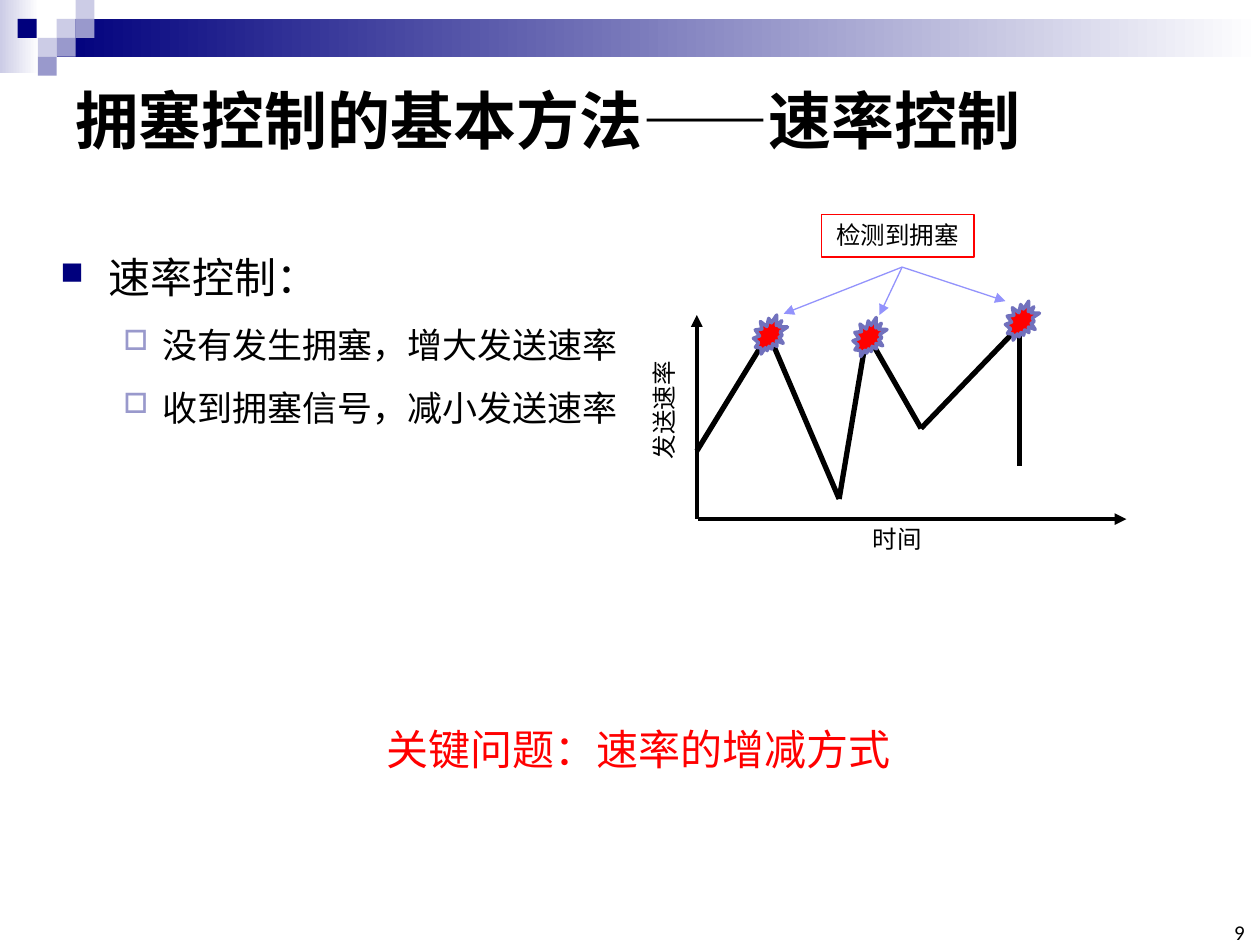
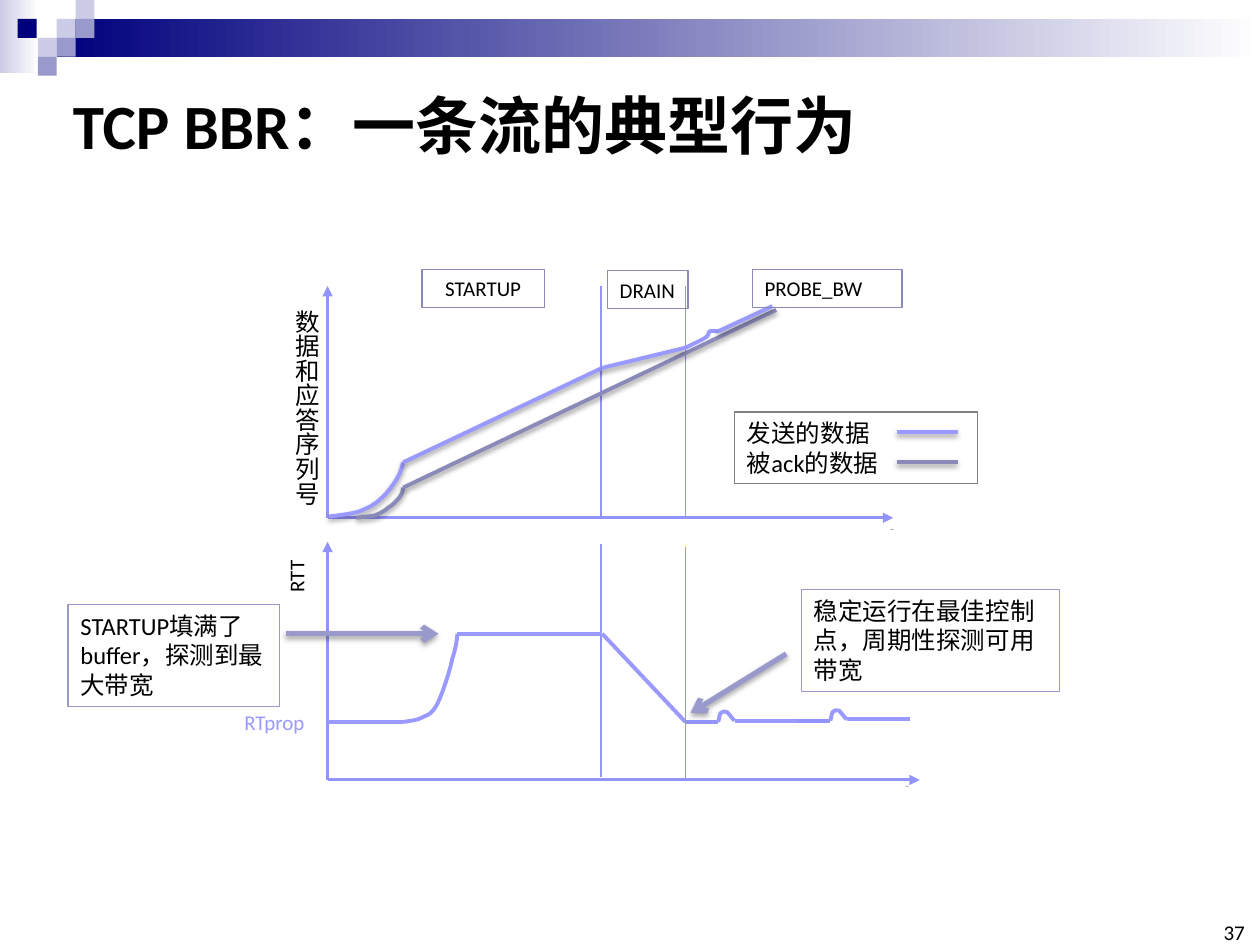
import pptx
import pptx.util
import pptx.dml.color
import pptx.enum.lang
import pptx.enum.shapes
import pptx.enum.text
import pptx.oxml
import pptx.oxml.ns
import lxml.etree

NAVY, LILAC, PALE = "00007D", "9999CC", "CCCCE6"
BLACK, WHITE, RED = "000000", "FFFFFF", "FF0000"
AXIS, SENT, ACKED, GRAY = "9393FC", "9999FF", "8A8AB9", "808080"
LATIN, HAN = "Calibri", "Noto Sans CJK SC"
SHAPE = pptx.enum.shapes.MSO_SHAPE
ALIGN = pptx.enum.text.PP_ALIGN
ANCHOR = pptx.enum.text.MSO_ANCHOR


def inch(num):
    """Turn inches into a length."""
    return pptx.util.Cm(num * 2.54)


def tint(code):
    """Turn a hex string into a colour."""
    return pptx.dml.color.RGBColor.from_string(code)


def sub(node, tag, **attrs):
    """Append a drawing element."""
    return lxml.etree.SubElement(node, pptx.oxml.ns.qn(tag), attrs)


def shade(shape, alpha=None):
    """Replace the theme shadow by none or by a soft drop."""
    props = shape._element.spPr
    for old in props.findall(pptx.oxml.ns.qn("a:effectLst")):
        props.remove(old)
    effect = sub(props, "a:effectLst")
    if alpha:
        drop = sub(effect, "a:outerShdw", blurRad="39400", dist="20300",
                   dir="5400000", rotWithShape="0")
        sub(sub(drop, "a:srgbClr", val=BLACK), "a:alpha", val=str(alpha * 1000))


def bullet(par, mark, color, size, left, hang):
    """Give a paragraph a coloured symbol bullet and a hanging indent."""
    props = par._p.get_or_add_pPr()
    props.set("marL", str(inch(left)))
    props.set("indent", str(-inch(hang)))
    sub(sub(props, "a:buClr"), "a:srgbClr", val=color)
    sub(props, "a:buSzPct", val=str(size * 1000))
    sub(props, "a:buFont", typeface="Wingdings", charset="2")
    sub(props, "a:buChar", char=mark)


def bend(shape):
    """Join every three straight steps of an outline into one cubic curve."""
    steps = list(shape._element.iter(pptx.oxml.ns.qn("a:lnTo")))
    route = steps[0].getparent()
    for i in range(0, len(steps), 3):
        arc = sub(route, "a:cubicBezTo")
        for step in steps[i:i + 3]:
            arc.append(step[0])
            route.remove(step)


class Area:
    """A region of a slide whose parts are placed from its top left corner."""

    def __init__(self, slide, left=0, top=0):
        """Keep the shapes and the corner."""
        self.shapes, self.left, self.top = slide.shapes, left, top

    def spot(self, x, y):
        """Turn a point of the area into slide lengths."""
        return inch(self.left + x), inch(self.top + y)

    def block(self, box, fill=None, line=None, width=0.75, kind=SHAPE.RECTANGLE):
        """Add a preset shape; a pair of fills makes a gradient."""
        x, y, w, h = box
        shape = self.shapes.add_shape(kind, *self.spot(x, y), inch(w), inch(h))
        if isinstance(fill, tuple):
            shape.fill.gradient()
            shape.fill.gradient_angle = 0
            for stop, code in zip(shape.fill.gradient_stops, fill):
                stop.color.rgb = tint(code)
        elif fill:
            shape.fill.solid()
            shape.fill.fore_color.rgb = tint(fill)
        else:
            shape.fill.background()
        if line:
            shape.line.color.rgb = tint(line)
            shape.line.width = pptx.util.Pt(width)
        else:
            shape.line.fill.background()
        shape.shadow.inherit = False
        return shape

    def text(self, box, words, size, color=BLACK, font=LATIN, east=None, bold=False,
             wrap=True, align=ALIGN.LEFT, anchor=ANCHOR.TOP, space=None, vert=None,
             shape=None):
        """Write text in a new text box or in a given shape."""
        if shape is None:
            x, y, w, h = box
            shape = self.shapes.add_textbox(*self.spot(x, y), inch(w), inch(h))
        frame = shape.text_frame
        frame.text = words
        frame.word_wrap = wrap
        frame.vertical_anchor = anchor
        if vert:
            frame._txBody.bodyPr.set("vert", vert)
        for par in frame.paragraphs:
            par.alignment = align
            if space:
                par.line_spacing = space
            for run in par.runs:
                run.font.size = pptx.util.Pt(size)
                run.font.bold = bold
                run.font.color.rgb = tint(color)
                run.font.name = font
                run.font.language_id = pptx.enum.lang.MSO_LANGUAGE_ID.SIMPLIFIED_CHINESE
                sub(run._r.get_or_add_rPr(), "a:ea", typeface=east or font)
        return shape

    def label(self, box, words, size, line, fill=None, **style):
        """Add a framed box with text."""
        shape = self.block(box, fill, line)
        return self.text(box, words, size, shape=shape, **style)

    def line(self, start, end, color, width, tip=None, alpha=None):
        """Add a straight line with an optional arrowhead and shadow."""
        kind = pptx.enum.shapes.MSO_CONNECTOR.STRAIGHT
        link = self.shapes.add_connector(kind, *self.spot(*start), *self.spot(*end))
        link.line.color.rgb = tint(color)
        link.line.width = pptx.util.Pt(width)
        if tip:
            sub(link.line._get_or_add_ln(), "a:tailEnd", type=tip)
        shade(link, alpha)

    def chain(self, points, color, width, alpha=None):
        """Join points by straight lines."""
        for start, end in zip(points, points[1:]):
            self.line(start, end, color, width, alpha=alpha)

    def curve(self, points, color, alpha=None):
        """Draw a chain of cubic curves as one open outline."""
        first, *rest = [self.spot(*point) for point in points]
        pen = self.shapes.build_freeform(*first)
        pen.add_line_segments(rest, close=False)
        shape = pen.convert_to_shape()
        bend(shape)
        shape.fill.background()
        shape.line.color.rgb = tint(color)
        shape.line.width = pptx.util.Pt(2.25)
        shade(shape, alpha)


def base(deck, title, box, number, east):
    """Add a slide with its band, squares, title and number."""
    slide = deck.slides.add_slide(deck.slide_layouts[6])
    area = Area(slide)
    area.block((0, 0, 0.31, 0.58), (PALE, WHITE))
    area.block((0.45, 0.15, 9.55, 0.3), (NAVY, WHITE))
    for x, y, code in ((0.45, 0.15, PALE), (0.6, 0, PALE), (0.6, 0.15, LILAC),
                       (0.3, 0.3, PALE), (0.14, 0.15, NAVY), (0.45, 0.3, LILAC),
                       (0.3, 0.45, LILAC)):
        area.block((x, y, 0.15, 0.15), code)
    area.text(box, title, 36, east=east, bold=True, anchor=ANCHOR.MIDDLE)
    foot = area.text((9.65, 7.33, 0.23, 0.17), number, 12, align=ALIGN.RIGHT,
                     anchor=ANCHOR.BOTTOM)
    frame = foot.text_frame
    frame.margin_left = frame.margin_right = frame.margin_top = frame.margin_bottom = 0
    return slide


def points(area):
    """Write the bulleted list."""
    words = "速率控制：\n没有发生拥塞，增大发送速率\n收到拥塞信号，减小发送速率"
    shape = area.text((0, 0, 4.72, 2.99), words, 20, space=1.5)
    head, *rest = shape.text_frame.paragraphs
    head.runs[0].font.size = pptx.util.Pt(24)
    bullet(head, "n", NAVY, 75, 0.38, 0.38)
    for par in rest:
        par.level = 1
        bullet(par, "o", LILAC, 80, 0.81, 0.31)


def saw(area):
    """Draw the sending rate against time with its congestion bursts."""
    name = area.label((-0.76, 0.57, 1.01, 0.34), "发送速率", 14, None, WHITE, font=HAN)
    name.rotation = 270
    area.line((0.01, 1.62), (3.41, 1.62), BLACK, 2.25, "triangle")
    area.line((0, 1.62), (0, 0), BLACK, 2.25, "triangle")
    area.text((1.3, 1.61, 0.59, 0.34), "时间", 14, font=HAN, wrap=False)
    area.chain([(0, 1.08), (0.57, 0.15), (1.13, 1.46), (1.35, 0.15), (1.78, 0.9),
                (2.56, 0.09), (2.56, 1.2)], BLACK, 3)
    for x, y in ((0.45, 0), (1.24, 0.02), (2.45, -0.11)):
        area.block((x, y, 0.27, 0.31), RED, "7171BD", 2, SHAPE.EXPLOSION2)
    for end in ((0.69, -0.01), (1.45, 0), (2.45, -0.11)):
        area.line((1.63, -0.38), end, AXIS, 0.75, "triangle")
    area.label((0.99, -0.8, 1.21, 0.34), "检测到拥塞", 14, RED, font=HAN,
               align=ALIGN.CENTER)


def axes(area, wide, high, name, grid):
    """Draw two axes, their names and the phase borders."""
    area.line((0, high), (wide, high), AXIS, 1.75, "triangle")
    area.line((0, high), (0, 0), AXIS, 1.75, "triangle")
    area.text(name, "time", 1, wrap=False)
    for x, top, end in grid:
        area.line((x, top), (x, end), AXIS, 0.75)


def flow(area):
    """Plot the sent and acknowledged data with phases and legend."""
    axes(area, 4.49, 1.84, (4.37, 1.88, 0.23, 0.12), ((2.17, 0, 1.84), (2.84, 0, 1.84)))
    area.text((-0.44, 0.09, 0.44, 1.66), "数据和应答序列号", 14, wrap=False, vert="eaVert")
    area.curve([(0.01, 1.83), (0.09, 1.82), (0.18, 1.81), (0.25, 1.79), (0.32, 1.76),
                (0.37, 1.74), (0.42, 1.69), (0.47, 1.65), (0.52, 1.58), (0.55, 1.53),
                (0.58, 1.48), (0.59, 1.44), (0.6, 1.4)], SENT, 38)
    area.curve([(0.23, 1.84), (0.28, 1.83), (0.34, 1.83), (0.38, 1.82), (0.42, 1.8),
                (0.45, 1.79), (0.48, 1.76), (0.52, 1.74), (0.55, 1.7), (0.57, 1.68),
                (0.59, 1.65), (0.6, 1.63), (0.6, 1.6)], ACKED, 38)
    area.line((0.6, 1.6), (3.56, 0.19), ACKED, 2.25, alpha=38)
    area.chain([(0.6, 1.4), (2.18, 0.65), (2.84, 0.49)], SENT, 2.25, 38)
    area.curve([(2.84, 0.49), (2.9, 0.46), (2.97, 0.43), (3, 0.41), (3.03, 0.39),
                (3.02, 0.37), (3.03, 0.36), (3.05, 0.35), (3.08, 0.36), (3.09, 0.36),
                (3.1, 0.35), (3.1, 0.36), (3.1, 0.36)], SENT)
    area.line((3.1, 0.36), (3.53, 0.16), SENT, 2.25, alpha=38)
    for x, y, wide, phase, align in ((0.75, -0.13, 0.97, "STARTUP", ALIGN.CENTER),
                                     (2.22, -0.12, 0.64, "DRAIN", ALIGN.LEFT),
                                     (3.37, -0.13, 1.19, "PROBE_BW", ALIGN.LEFT)):
        area.label((x, y, wide, 0.3), phase, 12, ACKED, align=align)
    area.label((3.23, 1, 1.93, 0.57), "发送的数据\n被ack的数据", 14, GRAY)
    for y, code in ((1.16, SENT), (1.4, ACKED)):
        area.line((4.52, y), (5, y), code, 2.25, alpha=38)


def delay(area):
    """Plot the round trip time with its callouts."""
    axes(area, 4.7, 1.89, (4.49, 1.89, 0.23, 0.12),
         ((2.17, 0.02, 1.87), (2.84, 0.04, 1.89)))
    area.text((-0.4, 0.15, 0.4, 0.35), "RTT", 12, wrap=False, vert="vert270")
    area.text((-0.76, 1.28, 0.68, 0.3), "RTprop", 12, SENT, wrap=False)
    area.line((0, 1.43), (0.6, 1.43), SENT, 2.25)
    area.curve([(0.6, 1.43), (0.66, 1.42), (0.71, 1.42), (0.76, 1.39), (0.81, 1.37),
                (0.83, 1.36), (0.87, 1.29), (0.91, 1.21), (0.97, 1.03), (0.99, 0.93),
                (1.02, 0.84), (1.03, 0.76), (1.03, 0.73)], SENT)
    area.chain([(1.03, 0.73), (2.18, 0.73), (2.84, 1.43)], SENT, 2.25)
    hump = ((0, 0), (0.01, -0.03), (0.01, -0.06), (0.02, -0.07), (0.03, -0.08),
            (0.05, -0.09), (0.07, -0.08), (0.08, -0.07), (0.12, -0.02), (0.13, -0.01))
    for start, x, y in ((2.84, 3.1, 1.43), (3.73, 3.99, 1.42)):
        area.line((start, y), (x, y), AXIS, 2.25)
        area.curve([(x + dx, y + dy) for dx, dy in hump], SENT)
        area.line((x + 0.13, y - 0.01), (x + 0.63, y - 0.01), SENT, 2.25)
    for start, end, box, words in (
            ((-0.33, 0.73), (0.88, 0.73), (-2.06, 0.5, 1.68, 0.81),
             "STARTUP填满了buffer，探测到最大带宽"),
            ((3.64, 0.89), (2.88, 1.36), (3.76, 0.38, 2.05, 0.81),
             "稳定运行在最佳控制点，周期性探测可用带宽")):
        area.line(start, end, LILAC, 3, "arrow", 35)
        area.label(box, words, 14, LILAC)


def main():
    """Build both slides and save them."""
    deck = pptx.Presentation()
    deck.slide_width, deck.slide_height = inch(10), inch(7.5)
    slide = base(deck, "拥塞控制的基本方法——速率控制", (0.5, 0.5, 9, 0.89), "9", HAN)
    points(Area(slide, 0.38, 1.75))
    saw(Area(slide, 5.53, 2.5))
    Area(slide).text((2.97, 5.49, 4.2, 0.71), "关键问题：速率的增减方式", 24, RED,
                     wrap=False, space=1.5)
    slide = base(deck, "TCP BBR：一条流的典型行为", (0.48, 0.57, 8.83, 0.83), "37", LATIN)
    flow(Area(slide, 2.6, 2.27))
    delay(Area(slide, 2.6, 4.3))
    deck.save("out.pptx")


if __name__ == "__main__":
    main()
